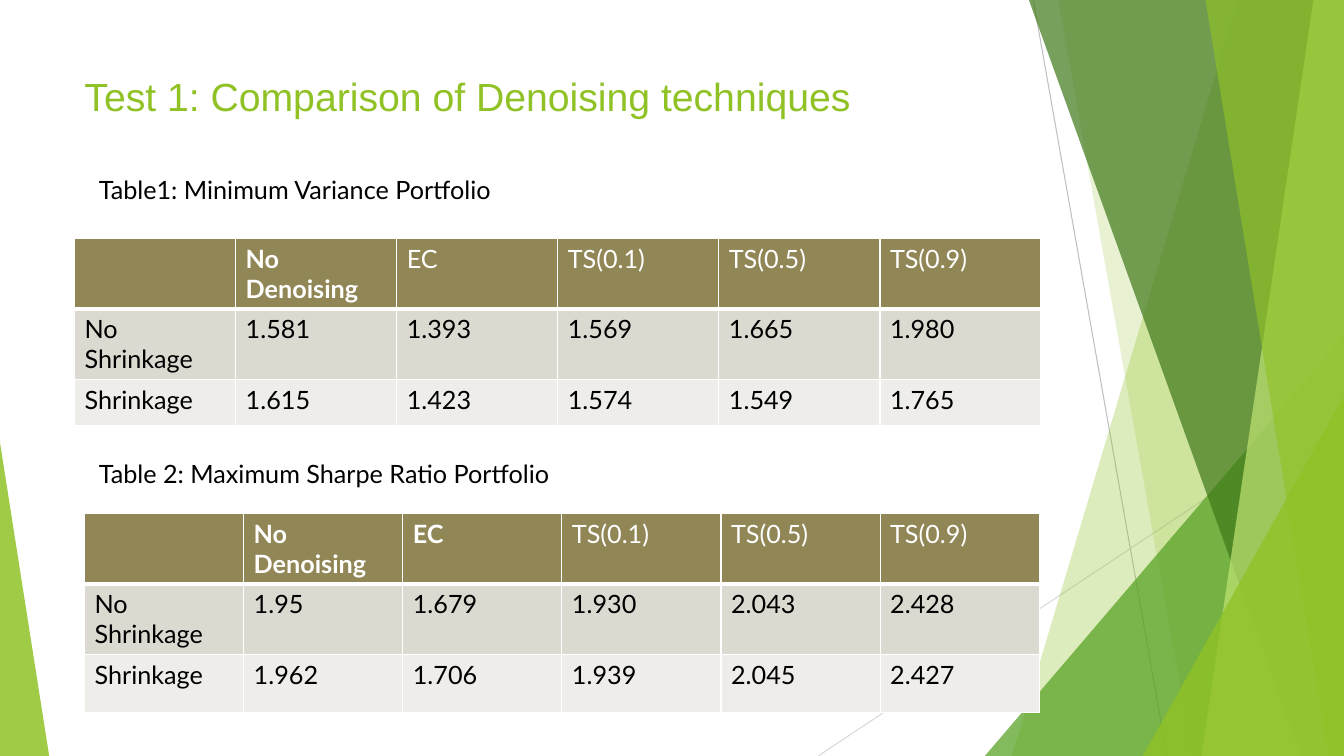
from dataclasses import dataclass

import pptx
import pptx.dml.color
import pptx.enum.shapes
import pptx.enum.text
import pptx.oxml
import pptx.oxml.ns
import pptx.oxml.xmlchemy
import pptx.util
from lxml import etree

Cm = pptx.util.Cm
Pt = pptx.util.Pt
RGB = pptx.dml.color.RGBColor
qn = pptx.oxml.ns.qn

WIDE, HIGH = 33.87, 19.05
LIME = RGB(0x90, 0xC2, 0x26)
GREEN = RGB(0x54, 0xA0, 0x21)
DARK = RGB(0x3F, 0x78, 0x19)
PALE = RGB(0xC0, 0xE4, 0x74)
GREY = RGB(0xBF, 0xBF, 0xBF)
SILVER = RGB(0xD9, 0xD9, 0xD9)
WHITE = RGB(0xFF, 0xFF, 0xFF)
BLACK = RGB(0, 0, 0)
OLIVE = RGB(0x91, 0x86, 0x55)
SAND = RGB(0xDC, 0xD9, 0xD1)
CREAM = RGB(0xEE, 0xED, 0xE9)


@dataclass
class Ray:
    """Straight line between two points."""
    x1: float
    y1: float
    x2: float
    y2: float
    color: RGB


@dataclass
class Band:
    """Slanted area reaching from its left edge to the slide's right edge."""
    top: float
    base: float
    color: RGB
    alpha: int


@dataclass
class Wedge:
    """Right triangle standing on the bottom of the slide."""
    left: float
    top: float
    width: float
    apex: int
    color: RGB
    alpha: int


@dataclass
class Grid:
    """Result table with its caption."""
    title: str
    title_y: float
    left: float
    top: float
    col: float
    last: float
    bold: tuple[str, ...]
    plain: list[str]
    shrunk: list[str]


DECOR = [
    Ray(26.04, 0, 29.41, HIGH, GREY),
    Ray(WIDE, 10.24, 20.62, HIGH, SILVER),
    Band(31.19, 25.5, LIME, 30),
    Band(26.67, 30.05, LIME, 20),
    Wedge(24.82, 8.46, 9.05, 1, GREEN, 72),
    Band(25.93, 32.79, DARK, 70),
    Band(33.1, 30.28, PALE, 70),
    Band(30.38, 33.48, LIME, 65),
    Wedge(28.8, 9.98, 5.07, 1, LIME, 80),
    Wedge(0, 11.15, 1.24, 0, LIME, 85),
]
HEADS = ["", "No Denoising", "EC", "TS(0.1)", "TS(0.5)", "TS(0.9)"]
GRIDS = [
    Grid("Table1: Minimum Variance Portfolio", 4.27, 1.88, 6, 4.06, 1.17,
         ("No Denoising",),
         ["1.581", "1.393", "1.569", "1.665", "1.980"],
         ["1.615", "1.423", "1.574", "1.549", "1.765"]),
    Grid("Table 2: Maximum Sharpe Ratio Portfolio", 11.43, 2.13, 12.93, 4.01, 1.47,
         ("No Denoising", "EC"),
         ["1.95", "1.679", "1.930", "2.043", "2.428"],
         ["1.962", "1.706", "1.939", "2.045", "2.427"]),
]


def write(frame, text: str, size: int = 18, font: str = "Lato",
          color: RGB = BLACK, bold: bool = False) -> None:
    run = frame.paragraphs[0].add_run()
    run.text = text
    run.font.size = Pt(size)
    run.font.name = font
    run.font.color.rgb = color
    run.font.bold = bold


def label(slide, x: float, y: float, w: float, h: float, text: str, **style) -> None:
    frame = slide.shapes.add_textbox(Cm(x), Cm(y), Cm(w), Cm(h)).text_frame
    frame.word_wrap = True
    write(frame, text, **style)


def paint(shape, color: RGB, alpha: int) -> None:
    shape.shadow.inherit = False
    shape.line.fill.background()
    shape.fill.solid()
    shape.fill.fore_color.rgb = color
    tone = shape.fill._xPr.find(qn("a:solidFill"))[0]
    etree.SubElement(tone, qn("a:alpha"), val=str(alpha * 1000))


def draw(slide, part: Ray | Band | Wedge) -> None:
    shapes = slide.shapes
    if isinstance(part, Ray):
        line = shapes.add_connector(pptx.enum.shapes.MSO_CONNECTOR.STRAIGHT,
                                    Cm(part.x1), Cm(part.y1), Cm(part.x2), Cm(part.y2))
        line.line.color.rgb = part.color
        line.line.width = Pt(0.75)
        etree.SubElement(line._element.spPr, qn("a:effectLst"))
    elif isinstance(part, Band):
        pen = shapes.build_freeform(Cm(part.top), Cm(0))
        pen.add_line_segments([(Cm(WIDE), Cm(0)), (Cm(WIDE), Cm(HIGH)),
                               (Cm(part.base), Cm(HIGH))], close=True)
        paint(pen.convert_to_shape(), part.color, part.alpha)
    else:
        shape = shapes.add_shape(pptx.enum.shapes.MSO_SHAPE.ISOSCELES_TRIANGLE,
                                 Cm(part.left), Cm(part.top),
                                 Cm(part.width), Cm(HIGH - part.top))
        shape.adjustments[0] = part.apex
        paint(shape, part.color, part.alpha)


def edge(cell, row: int) -> None:
    # Thick rule between header and body, thin lines elsewhere
    thick = {0: "lnB", 1: "lnT"}.get(row)
    props = cell._tc.get_or_add_tcPr()
    for side in ("lnL", "lnR", "lnT", "lnB"):
        width = Pt(3 if side == thick else 1)
        line = etree.SubElement(props, qn(f"a:{side}"), w=str(width))
        fill = etree.SubElement(line, qn("a:solidFill"))
        etree.SubElement(fill, qn("a:srgbClr"), val=str(WHITE))


def tabulate(slide, grid: Grid) -> None:
    rows = [HEADS, ["No Shrinkage", *grid.plain], ["Shrinkage", *grid.shrunk]]
    sizes = [1.78, 1.78, grid.last]
    table = slide.shapes.add_table(len(rows), len(HEADS), Cm(grid.left), Cm(grid.top),
                                   Cm(grid.col * len(HEADS)), Cm(sum(sizes))).table
    for col in table.columns:
        col.width = Cm(grid.col)
    for r, (row, size, back) in enumerate(zip(rows, sizes, (OLIVE, SAND, CREAM))):
        table.rows[r].height = Cm(size)
        for c, text in enumerate(row):
            cell = table.cell(r, c)
            edge(cell, r)
            cell.fill.solid()
            cell.fill.fore_color.rgb = back
            if text:
                write(cell.text_frame, text, color=BLACK if r else WHITE,
                      bold=text in grid.bold)


def main() -> None:
    deck = pptx.Presentation()
    deck.slide_width, deck.slide_height = Cm(WIDE), Cm(HIGH)
    slide = deck.slides.add_slide(deck.slide_layouts[6])

    # Background facets
    for part in DECOR:
        draw(slide, part)

    # Heading
    label(slide, 1.88, 1.7, 23.88, 2.11, "Test 1: Comparison of Denoising techniques",
          size=28, font="Arial", color=LIME)

    # Tables with captions
    for grid in GRIDS:
        tabulate(slide, grid)
        label(slide, 2.24, grid.title_y, 23.75, 1.02, grid.title)

    deck.save("out.pptx")


if __name__ == "__main__":
    main()
